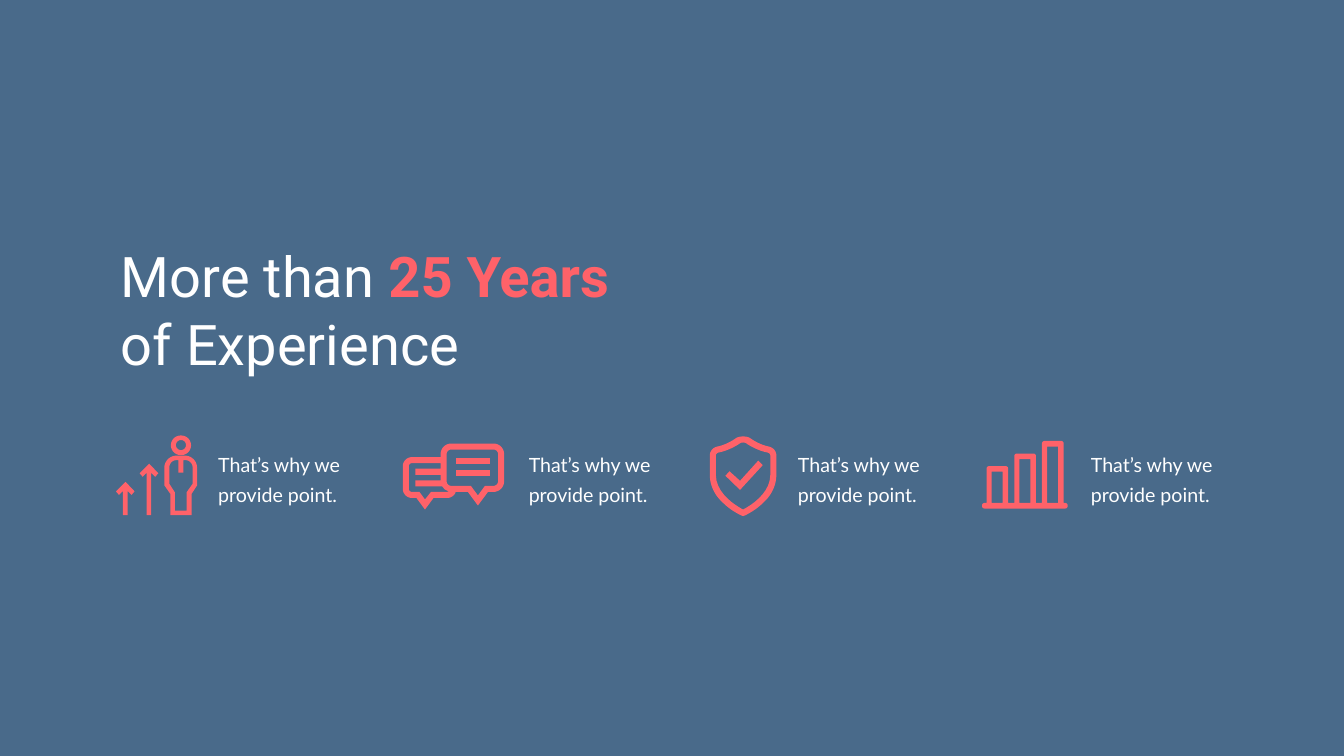
from math import hypot

from lxml.etree import SubElement
from pptx import Presentation
from pptx.dml.color import RGBColor
from pptx.enum.shapes import MSO_SHAPE
from pptx.enum.text import MSO_AUTO_SIZE
from pptx.oxml.ns import qn
from pptx.util import Inches, Pt

COLORS = {"background": "1C456D", "accent": "FF6269", "text": "FFFFFF"}
WIDTH, HEIGHT = 26.66, 15
UNIT = 0.01  # inches per icon grid unit
CAPTION = "That’s why we provide point."
CAPTION_TOP = 8.8


def color(name):
    return RGBColor.from_string(COLORS[name])


# ---- Outlines, in icon grid units ----
def bezier(start, control1, control2, end, steps=10):
    """Points along a cubic curve, without its start."""
    points = []
    for step in range(1, steps + 1):
        t = step / steps
        weights = ((1 - t) ** 3, 3 * t * (1 - t) ** 2, 3 * t * t * (1 - t), t ** 3)
        corners = (start, control1, control2, end)
        points.append(tuple(sum(w * c[axis] for w, c in zip(weights, corners))
                            for axis in (0, 1)))
    return points


def toward(corner, other, distance):
    share = distance / hypot(other[0] - corner[0], other[1] - corner[1])
    return tuple(corner[axis] + share * (other[axis] - corner[axis]) for axis in (0, 1))


def rounded(corners):
    """Polygon whose corners are (x, y) or, when rounded, (x, y, radius)."""
    points = []
    for index, corner in enumerate(corners):
        if len(corner) == 2:
            points.append(corner)
            continue
        before, after = corners[index - 1], corners[(index + 1) % len(corners)]
        radius = corner[2]
        start, end = toward(corner, before, radius), toward(corner, after, radius)
        points += [start] + bezier(start, toward(corner, before, radius * 0.45),
                                   toward(corner, after, radius * 0.45), end)
    return points


def box(left, top, right, bottom, radius=0):
    corners = [(left, top), (right, top), (right, bottom), (left, bottom)]
    return rounded([(*corner, radius) for corner in corners]) if radius else corners


def mirrored(axis, start, *pieces):
    """Symmetric outline from its left half: lines (x, y) and six-number curves."""
    half = [start]
    for piece in pieces:
        if len(piece) == 2:
            half.append(piece)
        else:
            half += bezier(half[-1], piece[:2], piece[2:4], piece[4:])
    return half + [(2 * axis - x, y) for x, y in reversed(half)]


# ---- Icons: each is a list of parts, each part a list of contours ----
def up_arrow(left, top, bottom):
    height = bottom - top
    tip = [(0, 19), (6, 26), (14, 18), (14, height), (23, height),
           (23, 18), (31, 26), (37, 19), (19, 0)]
    return [[(left + x, top + y) for x, y in tip]]


def growth_icon():
    body = rounded([(96, 40, 24), (161, 40, 24), (161, 99), (150, 116),
                    (150, 158), (108, 158), (108, 116), (96, 99)])
    body_hole = rounded([(106, 49, 14), (124, 49), (124, 74), (134, 74), (134, 49),
                         (152, 49, 14), (152, 96), (140, 113), (140, 149),
                         (117, 149), (117, 113), (106, 96)])
    head = [box(109, 0, 149, 39, 19.5), box(119, 9, 139, 29, 10)]
    return [[body, body_hole], head, up_arrow(47, 56, 158), up_arrow(0, 92, 158)]


def chat_icon():
    outline = rounded([(75, 0, 21), (201, 0, 21), (201, 96, 21), (169, 96), (149, 123),
                       (129, 96), (105, 96), (101, 108, 12), (61, 108), (44, 131),
                       (27, 108), (0, 108, 18), (0, 27, 18), (75, 27)])
    front_hole = rounded([(87, 12, 9), (189, 12, 9), (189, 84, 9), (163, 84),
                          (149, 103), (135, 84), (87, 84, 9)])
    back_hole = rounded([(56, 96), (44, 111), (33, 96), (12, 96, 6), (12, 39, 6),
                         (75, 39), (75, 50), (25, 50), (25, 62), (75, 62), (75, 73),
                         (25, 73), (25, 85), (78, 85), (83, 91), (91, 95), (88, 96)])
    lines = [[box(105, top, 172, top + 12)] for top in (29, 52)]
    return [[outline, front_hole, back_hole], *lines]


def shield_icon():
    outline = mirrored(66, (66, 0), (60, 0, 55, 1, 51, 4), (44, 9, 30, 17, 15, 20),
                       (6, 22, 0, 29, 0, 38), (0, 76), (0, 88, 3, 100, 10, 112),
                       (15, 121, 23, 129, 32, 137), (47, 150, 63, 157, 63, 157), (66, 158))
    hole = mirrored(66, (66, 12), (63, 12, 60, 13, 58, 15), (50, 20, 34, 29, 17, 32),
                    (14, 33, 12, 35, 12, 38), (12, 76), (12, 115, 55, 139, 66, 145))
    check = [(60, 88), (39, 69), (31, 78), (60, 106), (105, 57), (96, 48)]
    return [[check], [outline, hole]]


def bars_icon():
    base, outline, holes = 123, [(0, 123, 5)], []
    for left, top in ((9, 50), (64, 25), (119, 0)):
        right = left + 43
        outline += [(left, base), (left, top, 5), (right, top, 5), (right, base)]
        holes.append(box(left + 10, top + 11, right - 11, base))
    outline += [(170, base, 5), (170, 134, 5), (0, 134, 5)]
    return [[rounded(outline), *holes]]


# ---- Slide elements ----
def add_background(slide):
    shape = slide.shapes.add_shape(MSO_SHAPE.RECTANGLE, 0, 0, Inches(WIDTH), Inches(HEIGHT))
    shape.shadow.inherit = False
    shape.line.fill.background()
    shape.fill.solid()
    shape.fill.fore_color.rgb = color("background")
    fill_color = shape.fill._xPr.find(qn("a:solidFill"))[0]
    SubElement(fill_color, qn("a:alpha")).set("val", "80000")


def add_icon(slide, left, top, parts):
    group = slide.shapes.add_group_shape()
    for contours in parts:
        placed = [[(Inches(left + x * UNIT), Inches(top + y * UNIT)) for x, y in contour]
                  for contour in contours]
        builder = group.shapes.build_freeform(*placed[0][0])
        builder.add_line_segments(placed[0][1:])
        for contour in placed[1:]:
            builder.move_to(*contour[0])
            builder.add_line_segments(contour[1:])
        shape = builder.convert_to_shape()
        shape.shadow.inherit = False
        shape.line.fill.background()
        shape.fill.solid()
        shape.fill.fore_color.rgb = color("accent")


def add_text(slide, left, top, width, height, runs, font, size, spacing=None):
    """Runs are (text, color name, bold)."""
    shape = slide.shapes.add_textbox(*map(Inches, (left, top, width, height)))
    text_frame = shape.text_frame
    text_frame.word_wrap = True
    text_frame.auto_size = MSO_AUTO_SIZE.SHAPE_TO_FIT_TEXT
    paragraph = text_frame.paragraphs[0]
    if spacing:
        paragraph.line_spacing = Pt(spacing)
    for text, color_name, bold in runs:
        run = paragraph.add_run()
        run.text = text
        run.font.name, run.font.size, run.font.bold = font, Pt(size), bold
        run.font.color.rgb = color(color_name)


def main():
    presentation = Presentation()
    presentation.slide_width, presentation.slide_height = Inches(WIDTH), Inches(HEIGHT)
    slide = presentation.slides.add_slide(presentation.slide_layouts[6])

    add_background(slide)

    # Headline
    add_text(slide, 2.3, 4.75, 10.55, 2.79,
             [("More than ", "text", False), ("25 Years ", "accent", True),
              ("of Experience", "text", False)], "Roboto", 80)

    # Row of features: icon left, icon top, icon, caption left
    features = [(2.3, 8.64, growth_icon(), 4.23), (7.99, 8.8, chat_icon(), 10.39),
                (14.08, 8.66, shield_icon(), 15.73), (19.48, 8.75, bars_icon(), 21.54)]
    for icon_left, icon_top, icon, caption_left in features:
        add_icon(slide, icon_left, icon_top, icon)
        add_text(slide, caption_left, CAPTION_TOP, 2.82, 1.25,
                 [(CAPTION, "text", False)], "Lato", 28, spacing=43)

    presentation.save("out.pptx")


if __name__ == "__main__":
    main()
